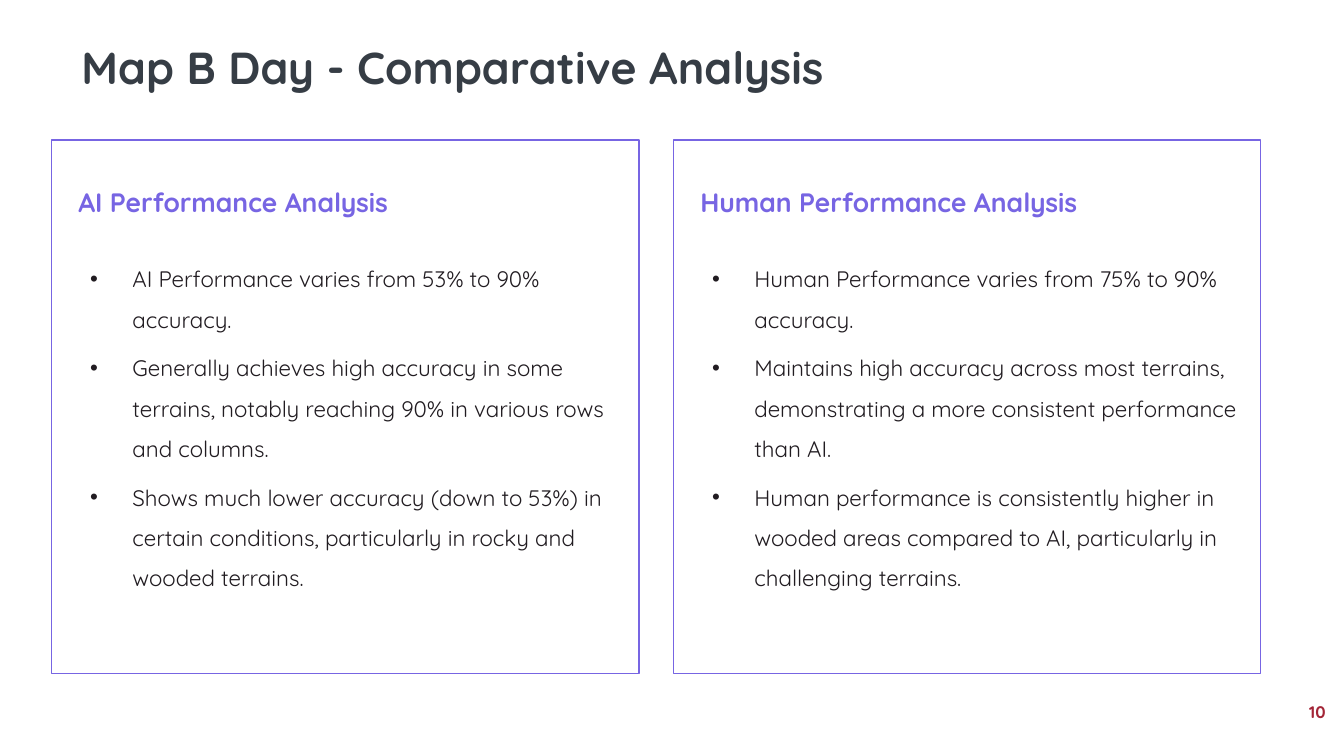
from lxml import etree
from pptx import Presentation
from pptx.dml.color import RGBColor
from pptx.enum import shapes, text
from pptx.oxml import ns
from pptx.util import Pt

FONT = "Quicksand"
INK, SLATE, VIOLET, CRIMSON, WHITE = "211C21", "363D45", "7765E3", "A32537", "FFFFFF"
HEADING_HEIGHT = 65.5
BULLETS_OFFSET = 70.5

PANELS = [
    ("AI Performance Analysis", [
        "AI Performance varies from 53% to 90% accuracy.",
        "Generally achieves high accuracy in some terrains, notably reaching 90% "
        "in various rows and columns.",
        "Shows much lower accuracy (down to 53%) in certain conditions, "
        "particularly in rocky and wooded terrains.",
    ]),
    ("Human Performance Analysis", [
        "Human Performance varies from 75% to 90% accuracy.",
        "Maintains high accuracy across most terrains, demonstrating a more "
        "consistent performance than AI.",
        "Human performance is consistently higher in wooded areas compared to AI, "
        "particularly in challenging terrains.",
    ]),
]


def color(hex_code):
    return RGBColor.from_string(hex_code)


def place(part, left, top, width, height):
    part.left, part.top = Pt(left), Pt(top)
    part.width, part.height = Pt(width), Pt(height)


def set_frame(part, anchor, insets):
    """Set wrapping, anchor and the left, top, right and bottom insets."""
    frame = part.text_frame
    frame.word_wrap = True
    frame.auto_size = text.MSO_AUTO_SIZE.NONE
    frame.vertical_anchor = anchor
    (frame.margin_left, frame.margin_top,
     frame.margin_right, frame.margin_bottom) = map(Pt, insets)
    return frame


def style(paragraph, size, hex_code, bold=False, align=text.PP_ALIGN.LEFT,
          spacing=1.0, before=0, after=0):
    paragraph.alignment = align
    paragraph.line_spacing = spacing
    paragraph.space_before, paragraph.space_after = Pt(before), Pt(after)
    for run in paragraph.runs:
        run.font.name, run.font.size, run.font.bold = FONT, Pt(size), bold
        run.font.color.rgb = color(hex_code)


def add_bullet(paragraph, hex_code):
    properties = paragraph._p.get_or_add_pPr()
    properties.set("marL", str(Pt(48.25)))
    properties.set("indent", str(Pt(-30.25)))
    bullet_color = etree.SubElement(properties, ns.qn("a:buClr"))
    etree.SubElement(bullet_color, ns.qn("a:srgbClr"), val=hex_code)
    etree.SubElement(properties, ns.qn("a:buFont"), typeface="Arial")
    etree.SubElement(properties, ns.qn("a:buChar"), char="•")


def fill_title(title, box):
    place(title, *box)
    frame = set_frame(title, text.MSO_ANCHOR.TOP, (7.2, 3.6, 7.2, 3.6))
    frame.text = "Map B Day - Comparative Analysis"
    style(frame.paragraphs[0], 32, SLATE, bold=True, spacing=0.9)


def add_border(slide, box):
    """Add the panel's outline behind the placeholders."""
    border = slide.shapes.add_shape(shapes.MSO_SHAPE.RECTANGLE, *map(Pt, box))
    border.shadow.inherit = False
    border.fill.solid()
    border.fill.fore_color.rgb = color(WHITE)
    border.line.color.rgb = color(VIOLET)
    border.line.width = Pt(0.75)
    border.element.getparent().insert(2, border.element)


def fill_panel(slide, box, heading, bullets, heading_text, points):
    left, top, width, height = box
    add_border(slide, box)

    place(heading, left, top, width, HEADING_HEIGHT)
    frame = set_frame(heading, text.MSO_ANCHOR.BOTTOM, (19.2, 9.6, 14.4, 9.6))
    frame.text = heading_text
    style(frame.paragraphs[0], 19, VIOLET, bold=True, after=16)

    place(bullets, left, top + BULLETS_OFFSET, width, height - BULLETS_OFFSET)
    frame = set_frame(bullets, text.MSO_ANCHOR.TOP, (9.6, 9.6, 9.6, 9.6))
    frame.text = "\n".join(points)
    for paragraph in frame.paragraphs:
        style(paragraph, 16, INK, spacing=1.5, before=6)
        add_bullet(paragraph, INK)
    frame.paragraphs[-1].space_after = Pt(13)


def add_page_number(slide, box):
    number = slide.shapes.add_textbox(*map(Pt, box))
    frame = set_frame(number, text.MSO_ANCHOR.MIDDLE, (7.2, 3.6, 7.2, 3.6))
    frame.text = "10"
    style(frame.paragraphs[0], 12, CRIMSON, bold=True, align=text.PP_ALIGN.RIGHT)


def main():
    deck = Presentation()
    deck.slide_width, deck.slide_height = Pt(960), Pt(540)
    comparison_layout = deck.slide_layouts[4]
    slide = deck.slides.add_slide(comparison_layout)
    slide.background.fill.solid()
    slide.background.fill.fore_color.rgb = color(WHITE)

    title, *panel_parts = slide.placeholders
    fill_title(title, (51, 28.8, 843, 57.6))
    left, top, width, height, gap = 36.75, 100, 419.75, 381, 24.5
    for i, (heading_text, points) in enumerate(PANELS):
        heading, bullets = panel_parts[2 * i:2 * i + 2]
        box = (left + i * (width + gap), top, width, height)
        fill_panel(slide, box, heading, bullets, heading_text, points)
    add_page_number(slide, (738, 494, 216, 28.8))
    deck.save("out.pptx")


if __name__ == "__main__":
    main()
